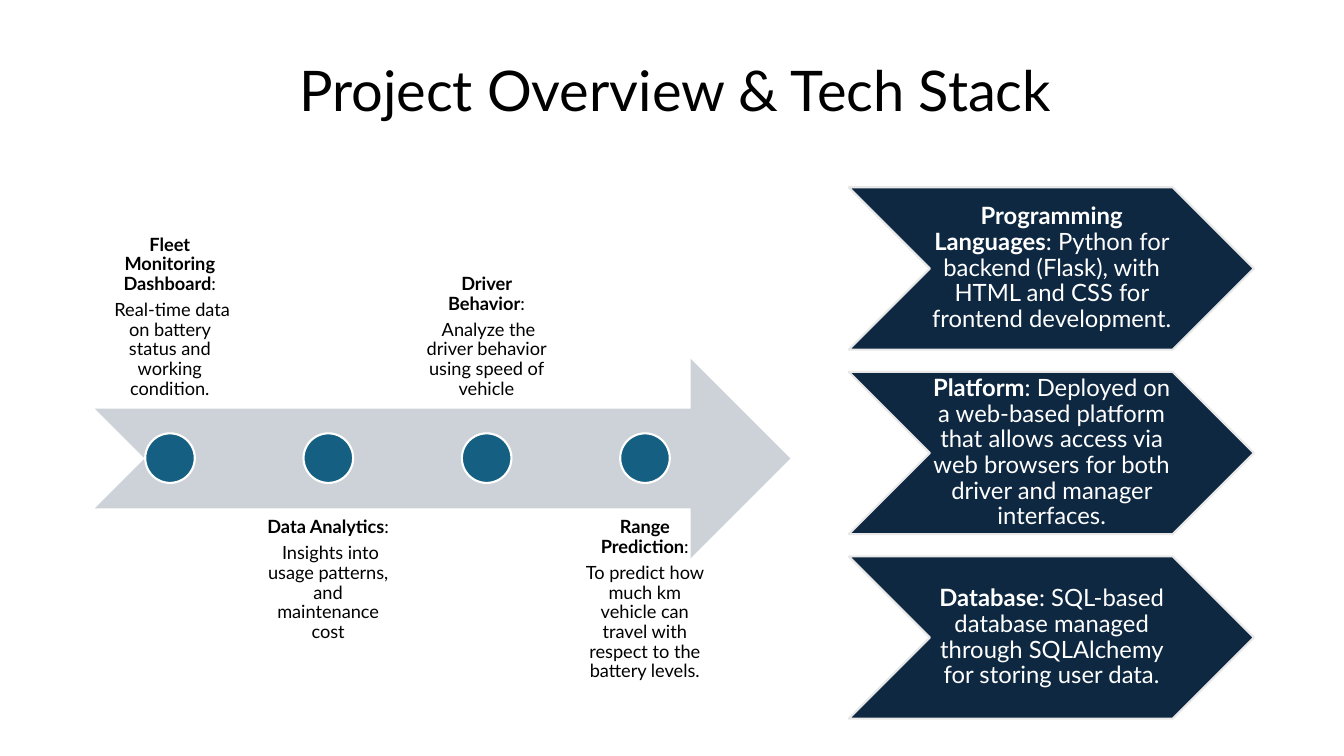
from pptx import Presentation
from pptx.dml.color import RGBColor
from pptx.enum.shapes import MSO_SHAPE as Shape
from pptx.enum.text import MSO_ANCHOR as Anchor, MSO_AUTO_SIZE as AutoSize, PP_ALIGN as Align
from pptx.util import Cm, Pt

BLACK = RGBColor(0x00, 0x00, 0x00)
WHITE = RGBColor(0xFF, 0xFF, 0xFF)
NAVY = RGBColor(0x0E, 0x28, 0x41)
TEAL = RGBColor(0x15, 0x60, 0x82)
SILVER = RGBColor(0xCC, 0xD2, 0xD8)
PALE = RGBColor(0xE8, 0xE8, 0xE8)

FEATURES = [
    ("Fleet Monitoring Dashboard", " Real-time data on battery status and working condition."),
    ("Data Analytics", " Insights into usage patterns, and maintenance cost"),
    ("Driver Behavior", " Analyze the driver behavior using speed of vehicle"),
    ("Range Prediction",
     "To predict how much km vehicle can travel with respect to the battery levels."),
]
STACK = [
    ("Programming Languages",
     ": Python for backend (Flask), with HTML and CSS for frontend development."),
    ("Platform", ": Deployed on a web-based platform that allows access via web browsers "
                 "for both driver and manager interfaces."),
    ("Database", ": SQL-based database managed through SQLAlchemy for storing user data."),
]


def apply(target, values):
    for name, value in values.items():
        setattr(target, name, value)


class SlideBuilder:
    font = "Lato"
    line_spacing = 0.9

    def __init__(self, page):
        self.page = page

    def fill_frame(self, frame, paragraphs, size, color, align, anchor, insets, gap=0):
        """Fill a frame with paragraphs, each a list of (text, bold) pairs."""
        left, top, right, bottom = map(Cm, insets)
        apply(frame, {"word_wrap": True, "auto_size": AutoSize.NONE, "vertical_anchor": anchor,
                      "margin_left": left, "margin_top": top,
                      "margin_right": right, "margin_bottom": bottom})
        for index, spans in enumerate(paragraphs):
            para = frame.add_paragraph() if index else frame.paragraphs[0]
            apply(para, {"alignment": align, "line_spacing": self.line_spacing,
                         "space_before": Pt(0), "space_after": Pt(gap)})
            for text, bold in spans:
                span = para.add_run()
                span.text = text
                apply(span.font, {"name": self.font, "size": Pt(size), "bold": bold})
                span.font.color.rgb = color

    def title(self, text, left, top, width, height):
        title = self.page.shapes.title
        apply(title, {"left": Cm(left), "top": Cm(top), "width": Cm(width), "height": Cm(height)})
        self.fill_frame(title.text_frame, [[(text, False)]], 40, BLACK, Align.LEFT,
                        Anchor.MIDDLE, (0.25, 0.13, 0.25, 0.13))

    def text(self, box, paragraphs, size, color, anchor, insets):
        frame = self.page.shapes.add_textbox(*map(Cm, box)).text_frame
        self.fill_frame(frame, paragraphs, size, color, Align.CENTER, anchor, insets,
                        gap=0.35 * size)

    def shape(self, kind, box, fill, line=None):
        shape = self.page.shapes.add_shape(kind, *map(Cm, box))
        shape.shadow.inherit = False
        shape.fill.solid()
        shape.fill.fore_color.rgb = fill
        if line is None:
            shape.line.fill.background()
        else:
            shape.line.color.rgb = line
            shape.line.width = Pt(1.5)


def main():
    deck = Presentation()
    deck.slide_width, deck.slide_height = Cm(33.87), Cm(19.05)
    builder = SlideBuilder(deck.slides.add_slide(deck.slide_layouts[5]))
    builder.title("Project Overview & Tech Stack", 7.29, -0.28, 23.52, 5.28)

    builder.shape(Shape.NOTCHED_RIGHT_ARROW, (2.39, 9.04, 17.53, 5.03), SILVER)
    for index, (heading, detail) in enumerate(FEATURES):
        left = 2.39 + 3.99 * index
        top, anchor = (12.8, Anchor.TOP) if index % 2 else (5.28, Anchor.BOTTOM)
        builder.text((left, top, 3.78, 5.03), [[(heading, True), (":", False)], [(detail, False)]],
                     13, BLACK, anchor, (0.25, 0.25, 0.25, 0.25))
        builder.shape(Shape.OVAL, (left + 1.27, 10.92, 1.25, 1.25), TEAL, WHITE)

    for index, (heading, detail) in enumerate(STACK):
        top = 4.72 + 4.65 * index
        builder.shape(Shape.CHEVRON, (21.39, top, 10.21, 4.09), NAVY, PALE)
        builder.text((23.42, top, 6.12, 4.09), [[(heading, True), (detail, False)]],
                     17, WHITE, Anchor.MIDDLE, (0.05, 0.03, 0, 0.03))

    deck.save("out.pptx")


if __name__ == "__main__":
    main()
